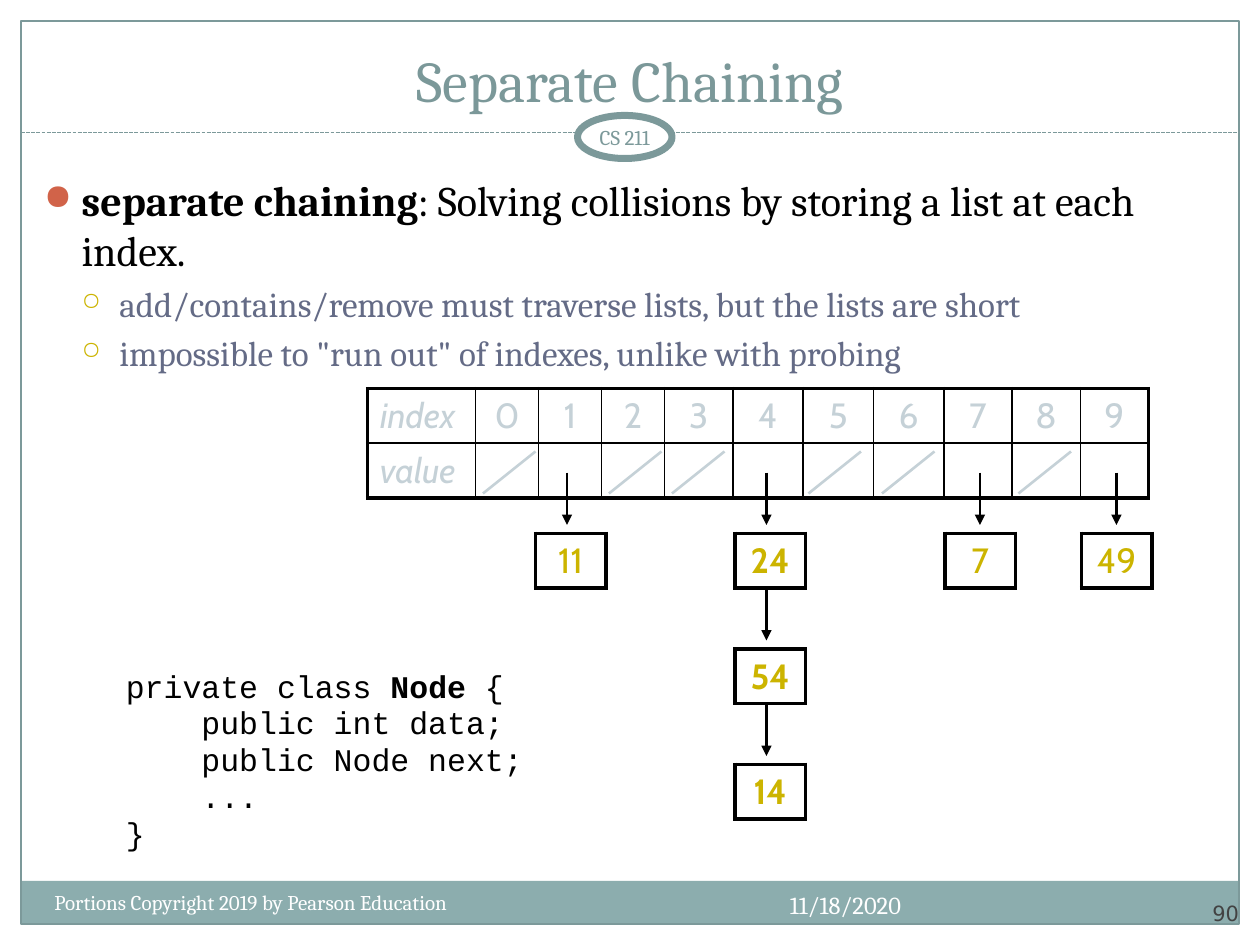
"""Build the Separate Chaining slide on a grid of twelfths of an inch."""
from dataclasses import dataclass
from itertools import product

from lxml.etree import SubElement
from pptx import Presentation
from pptx.dml.color import RGBColor as RGB
from pptx.enum.dml import MSO_LINE as Dash
from pptx.enum.shapes import MSO_CONNECTOR as Conn, MSO_SHAPE as Shape
from pptx.enum.text import MSO_ANCHOR as Anchor, PP_ALIGN as Align
from pptx.oxml.ns import qn
from pptx.util import Emu, Pt


@dataclass(frozen=True)
class Theme:
    """Colours, fonts and type sizes."""
    teal: str = "7C999A"
    band: str = "8CADAE"
    title: str = "7B9899"
    ink: str = "000000"
    sub: str = "646B86"
    red: str = "D16349"
    gold: str = "CCB400"
    pale: str = "C5D1D7"
    white: str = "FFFFFF"
    grey: str = "424242"
    serif: str = "Cambria"
    sans: str = "Cabin"
    mono: str = "Courier New"
    number: str = "DejaVu Sans"
    head_pt: int = 33
    body_pt: int = 24
    sub_pt: int = 20
    code_pt: int = 18
    date_pt: int = 14
    small_pt: int = 12


@dataclass(frozen=True)
class Chain:
    """A linked list hanging from the array."""
    left: float
    stem: float
    values: tuple
    bold: bool = False


@dataclass(frozen=True)
class Bullet:
    """A bulleted paragraph made of (text, bold) runs."""
    runs: tuple
    mark: str
    mark_color: str
    mark_pct: int
    level: int
    size: int
    color: str


T = Theme()
CHAINS = (
    Chain(51, 54, ("11",)),
    Chain(70, 73, ("24", "54", "14"), True),
    Chain(90, 93.33, ("7",)),
    Chain(103, 106.33, ("49",)),
)
EMPTY_SLOTS = (46, 58, 64, 77, 84, 97)
COLUMNS = (10.3, 6, 6, 6, 6.5, 6.7, 6.7, 6.7, 6.5, 6.5, 6.5)
ROW, NODE_WIDTH, NODE_TOP, NODE_STEP = 5.2, 6.7, 50.8, 11
BULLETS = (
    Bullet((("separate chaining", True), (": Solving collisions by storing a list at each index.", False)),
           "●", T.red, 85, 1, T.body_pt, T.ink),
    Bullet((("add/contains/remove must traverse lists, but the lists are short", False),),
           "○", T.gold, 70, 2, T.sub_pt, T.sub),
    Bullet((('impossible to "run out" of indexes, unlike with probing', False),),
           "○", T.gold, 70, 2, T.sub_pt, T.sub),
)
CODE = (
    (("private class ", False), ("Node", True), (" {", False)),
    (("    public int data;", False),),
    (("    public Node next;", False),),
    (("    ...", False),),
    (("}", False),),
)


def g(n: float) -> Emu:
    """Turn grid units into a length."""
    return Emu(round(n * 76200))


def write(p, text: str, *, size: int, color: str, font: str = T.serif,
          bold: bool = False, italic: bool = False, align=Align.LEFT) -> None:
    """Add a formatted run to a paragraph."""
    p.alignment = align
    r = p.add_run()
    r.text = text
    r.font.size, r.font.name = Pt(size), font
    r.font.bold, r.font.italic = bold, italic
    r.font.color.rgb = RGB.from_string(color)


def text_box(s, x: float, y: float, w: float, h: float, inset: float = None):
    """Add a wrapping text box and return its frame."""
    tf = s.shapes.add_textbox(g(x), g(y), g(w), g(h)).text_frame
    tf.word_wrap = True
    if inset is not None:
        tf.margin_left = tf.margin_right = tf.margin_top = tf.margin_bottom = g(inset)
    return tf


def shape(s, kind, box: tuple, fill: str = None, line: str = None, width: float = 0.75):
    """Add a preset shape without shadow."""
    sp = s.shapes.add_shape(kind, *map(g, box))
    sp.shadow.inherit = False
    if fill:
        sp.fill.solid()
        sp.fill.fore_color.rgb = RGB.from_string(fill)
    else:
        sp.fill.background()
    if line:
        sp.line.color.rgb = RGB.from_string(line)
        sp.line.width = Pt(width)
    else:
        sp.line.fill.background()
    return sp


def line(s, x1: float, y1: float, x2: float, y2: float, color: str,
         width: float = 1.5, dash=None, arrow: bool = False) -> None:
    """Add a straight line, dashed or with an arrowhead if asked."""
    c = s.shapes.add_connector(Conn.STRAIGHT, g(x1), g(y1), g(x2), g(y2))
    c.line.color.rgb = RGB.from_string(color)
    c.line.width = Pt(width)
    if dash:
        c.line.dash_style = dash
    if arrow:
        SubElement(c.line._get_or_add_ln(), qn("a:tailEnd"), type="triangle")
    SubElement(c._element.spPr, qn("a:effectLst"))


def table(s, x: float, y: float, columns: tuple, rows: int):
    """Add an unfilled table with thick outer and thin inner borders."""
    n = len(columns)
    tbl = s.shapes.add_table(rows, n, g(x), g(y), g(sum(columns)), g(ROW * rows)).table
    tbl.first_row = tbl.horz_banding = False
    for col, width in zip(tbl.columns, columns):
        col.width = g(width)
    for i, j in product(range(rows), range(n)):
        cell = tbl.cell(i, j)
        outer = {"lnL": j == 0, "lnR": j == n - 1, "lnT": i == 0, "lnB": i == rows - 1}
        tc_pr = cell._tc.get_or_add_tcPr()
        for side, thick in outer.items():
            ln = SubElement(tc_pr, qn(f"a:{side}"), w=str(Pt(2.25 if thick else 1)))
            SubElement(SubElement(ln, qn("a:solidFill")), qn("a:srgbClr"), val=T.ink)
        cell.fill.background()
    return tbl


def bullet(p, b: Bullet) -> None:
    """Write a bulleted paragraph."""
    pPr = p._p.get_or_add_pPr()
    pPr.set("marL", str(g(3.6 * b.level)))
    pPr.set("indent", str(g(-3.6)))
    SubElement(SubElement(pPr, qn("a:buClr")), qn("a:srgbClr"), val=b.mark_color)
    SubElement(pPr, qn("a:buSzPct"), val=str(b.mark_pct * 1000))
    SubElement(pPr, qn("a:buChar"), char=b.mark)
    for text, bold in b.runs:
        write(p, text, size=b.size, color=b.color, bold=bold)


def paragraphs(tf, count: int) -> list:
    """Return the first paragraph and as many new ones as needed."""
    return [tf.paragraphs[0]] + [tf.add_paragraph() for _ in range(count - 1)]


def main() -> None:
    """Build and save the slide."""
    prs = Presentation()
    prs.slide_width, prs.slide_height = g(120), g(90)
    s = prs.slides.add_slide(prs.slide_layouts[5])

    shape(s, Shape.RECTANGLE, (2, 83.9, 116, 4.1), fill=T.band)
    shape(s, Shape.RECTANGLE, (2, 2, 116, 86), line=T.teal)
    line(s, 2, 12.6, 118, 12.6, T.teal, 0.75, Dash.SQUARE_DOT)
    badge = shape(s, Shape.OVAL, (55, 11, 9, 4.1), T.white, T.teal, 4).text_frame
    badge.word_wrap, badge.vertical_anchor = False, Anchor.MIDDLE
    write(badge.paragraphs[0], "CS 211", size=T.small_pt, color=T.teal, align=Align.CENTER)

    title = s.shapes.title
    title.left, title.top, title.width, title.height = map(g, (4, 3, 112, 8.5))
    title.text_frame.vertical_anchor = Anchor.BOTTOM
    write(title.text_frame.paragraphs[0], "Separate Chaining", size=T.head_pt, color=T.title, align=Align.CENTER)

    body = text_box(s, 3, 16, 114, 20.5)
    for i, (p, b) in enumerate(zip(paragraphs(body, len(BULLETS)), BULLETS)):
        bullet(p, b)
        p.space_before = Pt(b.size / 5 if i else 0)

    code = text_box(s, 10.8, 63, 45, 19)
    for p, runs in zip(paragraphs(code, len(CODE)), CODE):
        p.line_spacing = Pt(21)
        for text, bold in runs:
            write(p, text, size=T.code_pt, color=T.ink, font=T.mono, bold=bold)

    array = table(s, 35, 37, COLUMNS, 2)
    for i, label in enumerate(("index", "value")):
        write(array.cell(i, 0).text_frame.paragraphs[0], label, size=T.sub_pt,
              color=T.pale, font=T.sans, italic=True)
    for i in range(10):
        write(array.cell(0, i + 1).text_frame.paragraphs[0], str(i), size=T.sub_pt,
              color=T.pale, font=T.sans, align=Align.CENTER)
    for x in EMPTY_SLOTS:
        line(s, x + 5, 43, x, 47, T.pale)

    for chain in CHAINS:
        for level, value in enumerate(chain.values):
            drop = NODE_STEP * level
            node = table(s, chain.left, NODE_TOP + drop, (NODE_WIDTH,), 1)
            write(node.cell(0, 0).text_frame.paragraphs[0], value, size=T.sub_pt, color=T.gold,
                  font=T.sans, bold=chain.bold, align=Align.CENTER)
            line(s, chain.stem, 45 + drop, chain.stem, 50 + drop, T.ink, arrow=True)

    write(text_box(s, 67, 84.2, 20, 4.8).paragraphs[0], "11/18/2020",
          size=T.date_pt, color=T.white, align=Align.RIGHT)
    write(text_box(s, 4, 84.1, 49, 4.8).paragraphs[0], "Portions Copyright 2019 by Pearson Education",
          size=T.small_pt, color=T.white)
    number = text_box(s, 108, 83.4, 10, 4.8, 0)
    number.vertical_anchor = Anchor.BOTTOM
    write(number.paragraphs[0], "90", size=T.small_pt, color=T.grey, font=T.number, align=Align.RIGHT)

    prs.save("out.pptx")


if __name__ == "__main__":
    main()
